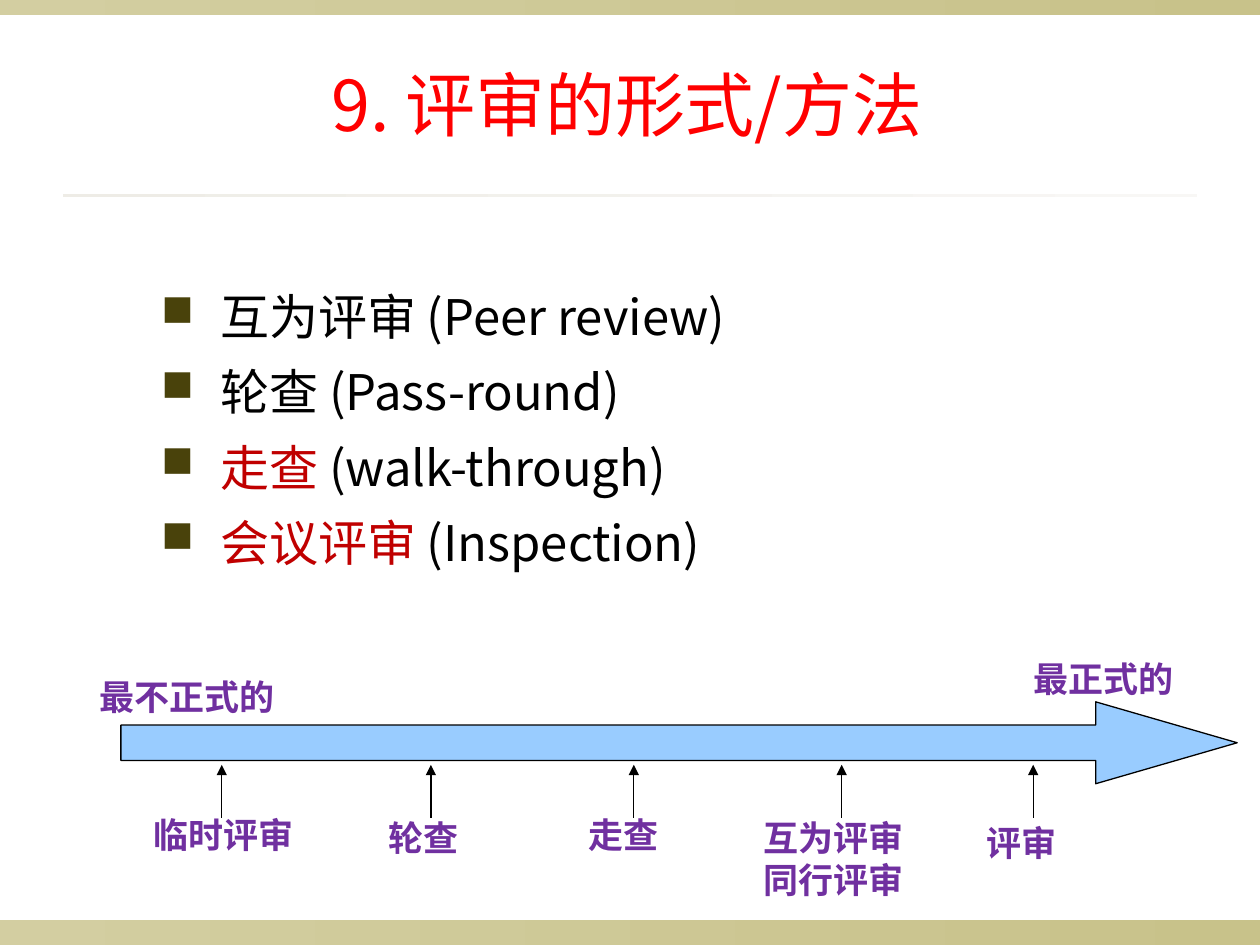
from lxml import etree
from pptx import Presentation, util as u
from pptx.dml.color import RGBColor
from pptx.enum import shapes, text
from pptx.oxml.ns import qn

W, H = 10, 7.5
SANS, COMIC = "Noto Sans CJK SC", "Comic Neue"
RED, DARK_RED, PURPLE, BLACK = "FF0000", "C00000", "7030A0", "000000"
TITLE = dict(name=SANS, size=u.Pt(40))
BODY = dict(name=SANS, size=u.Pt(28))
LABEL = dict(name=COMIC, size=u.Pt(20), bold=True)


def rgb(value):
    return RGBColor.from_string(value)


def child(parent, tag, **attrs):
    return etree.SubElement(parent, qn(tag), attrs)


def inches(*values):
    return [u.Inches(v) for v in values]


def add_run(p, content, fmt, color):
    r = p.add_run()
    r.text = content
    for key, value in fmt.items():
        setattr(r.font, key, value)
    r.font.color.rgb = rgb(color)
    child(r._r.get_or_add_rPr(), "a:ea", typeface=fmt["name"])


def text_frame(s, box, inset=(0.1, 0.05)):
    tf = s.shapes.add_textbox(*inches(*box)).text_frame
    dx, dy = inches(*inset)
    settings = dict(word_wrap=True, margin_left=dx, margin_right=dx,
                    margin_top=dy, margin_bottom=dy)
    for key, value in settings.items():
        setattr(tf, key, value)
    return tf


def paragraphs(tf, count):
    return [tf.paragraphs[0]] + [tf.add_paragraph() for _ in range(count - 1)]


def add_band(s, box, start, end):
    """Borderless bar fading from left to right."""
    sp = s.shapes.add_shape(shapes.MSO_SHAPE.RECTANGLE, *inches(*box))
    sp.shadow.inherit = False
    sp.line.fill.background()
    sp.fill.gradient()
    sp.fill.gradient_angle = 0
    for stop, color in zip(sp.fill.gradient_stops, (start, end)):
        stop.color.rgb = rgb(color)


def add_frame(s):
    """Bands at the slide's edges and the rule under the title."""
    add_band(s, (0, H - 0.2, W, 0.2), "D3CEA1", "C8C28A")
    add_band(s, (0, 0, W, 0.12), "D3CEA1", "C8C28A")
    add_band(s, (0.05 * W, 1.54, 0.9 * W, 0.02), "EEECE6", "F8F7F5")


def add_title(s, box, content):
    tf = text_frame(s, box)
    tf.vertical_anchor = text.MSO_ANCHOR.MIDDLE
    p = tf.paragraphs[0]
    p.alignment = text.PP_ALIGN.CENTER
    add_run(p, content, TITLE, RED)


def add_bullets(s, box, items):
    tf = text_frame(s, box)
    hang = u.Inches(0.47)
    for i, (p, item) in enumerate(zip(paragraphs(tf, len(items)), items)):
        pPr = p._p.get_or_add_pPr()
        pPr.set("marL", str(hang))
        pPr.set("indent", str(-hang))
        child(child(pPr, "a:buClr"), "a:srgbClr", val="49420B")
        child(pPr, "a:buSzPct", val="90000")
        child(pPr, "a:buFont", typeface="Wingdings", charset="2")
        child(pPr, "a:buChar", char="n")
        p.line_spacing = 1.1
        p.space_before = u.Pt(6 if i else 0)
        for content, color in item:
            add_run(p, content, BODY, color)


def add_label(s, box, *lines):
    tf = text_frame(s, box, (0.06, 0.03))
    for p, line in zip(paragraphs(tf, len(lines)), lines):
        add_run(p, line, LABEL, PURPLE)


def add_pointer(s, x, bottom, top):
    c = s.shapes.add_connector(shapes.MSO_CONNECTOR.STRAIGHT,
                               *inches(x, bottom, x, top))
    c.line.color.rgb = rgb(BLACK)
    c.line.width = u.Pt(0.75)
    child(c.line._get_or_add_ln(), "a:tailEnd", type="triangle")
    child(c._element.spPr, "a:effectLst")


def add_formality_scale(s, box, ends, steps):
    """Wide arrow with end labels above it and pointed-at steps below it."""
    x, y, w, h = box
    sp = s.shapes.add_shape(shapes.MSO_SHAPE.RIGHT_ARROW, *inches(*box))
    sp.shadow.inherit = False
    sp.adjustments[0], sp.adjustments[1] = 0.431, 1.728
    sp.fill.solid()
    sp.fill.fore_color.rgb = rgb("99CCFF")
    sp.line.color.rgb = rgb(BLACK)
    sp.line.width = u.Pt(0.75)
    for dx, dy, width, name in ends:
        add_label(s, (x + dx, y + dy, width, 0.48), name)
    for tip, dx, dy, width, lines in steps:
        label_h = 0.12 + 0.36 * len(lines)
        add_label(s, (x + dx, y + h + dy, width, label_h), *lines)
        add_pointer(s, x + tip, y + h + 0.27, y + 0.5)


def main():
    prs = Presentation()
    prs.slide_width, prs.slide_height = inches(W, H)
    s = prs.slides.add_slide(prs.slide_layouts[6])
    add_frame(s)
    add_title(s, (1.46, 0.36, 7.03, 0.93), "9. 评审的形式/方法")
    add_bullets(s, (1.18, 2.18, 6.16, 3.55), [
        [("互为评审 (Peer review)", BLACK)],
        [("轮查 (Pass-round)", BLACK)],
        [("走查 ", DARK_RED), ("(walk-through)", BLACK)],
        [("会议评审 ", DARK_RED), ("(Inspection)", BLACK)],
    ])
    # Offsets are measured from the arrow: ends from its top, steps from its foot.
    add_formality_scale(
        s, (0.96, 5.57, 8.86, 0.65),
        ends=[(-0.23, -0.24, 1.99, "最不正式的"), (7.18, -0.38, 1.51, "最正式的")],
        steps=[
            (0.8, 0.2, 0.21, 1.53, ["临时评审"]),
            (2.46, 2.06, 0.23, 1.08, ["轮查"]),
            (4.07, 3.65, 0.21, 0.98, ["走查"]),
            (5.72, 5.04, 0.23, 1.65, ["互为评审", "同行评审"]),
            (7.24, 6.81, 0.27, 1.13, ["评审"]),
        ])
    prs.save("out.pptx")


if __name__ == "__main__":
    main()
